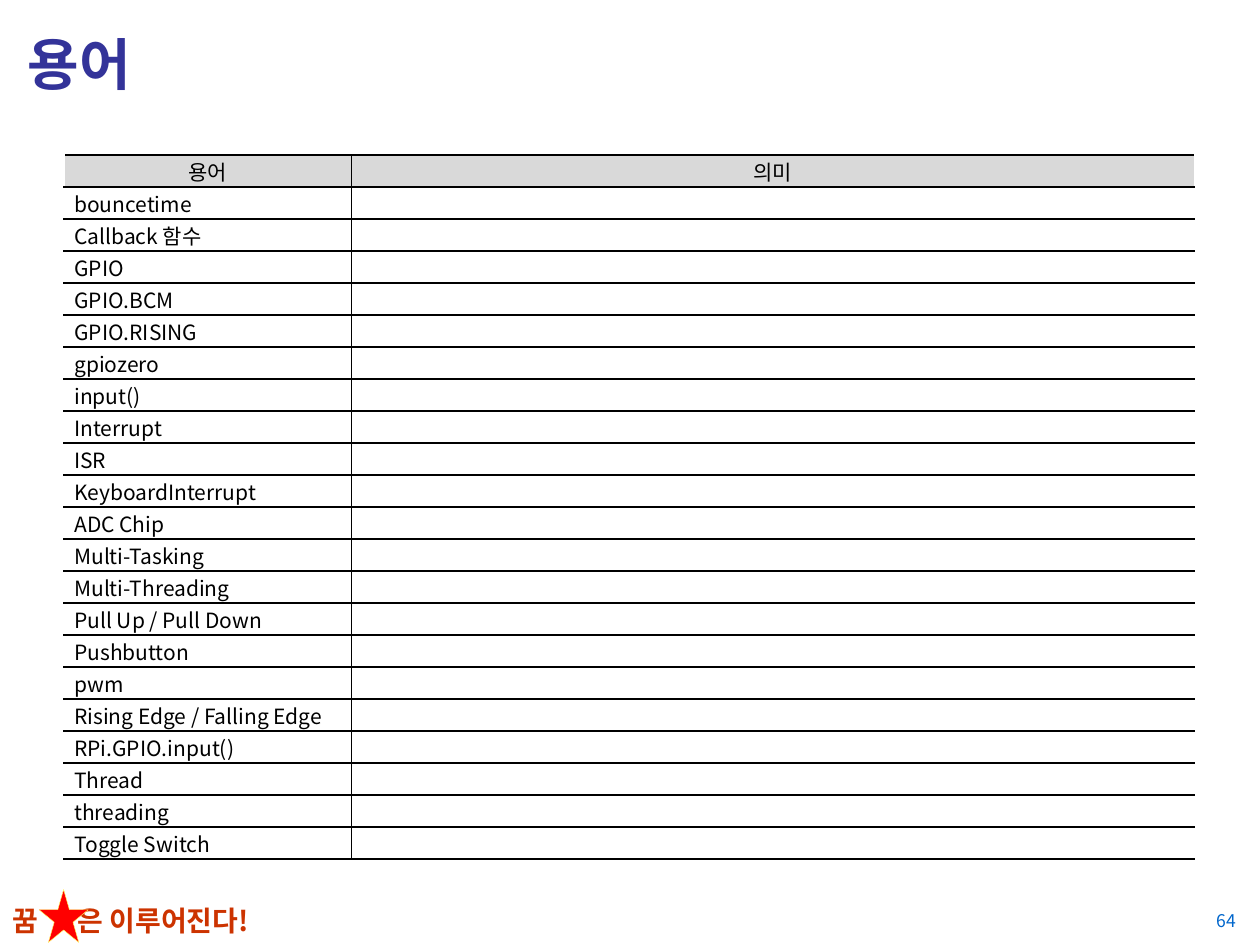
from dataclasses import dataclass

from lxml import etree
from pptx import Presentation
from pptx.dml.color import RGBColor
from pptx.enum.shapes import MSO_SHAPE
from pptx.enum.text import MSO_ANCHOR, PP_ALIGN
from pptx.oxml.ns import qn
from pptx.util import Inches, Pt

STAR = MSO_SHAPE.STAR_5_POINT
TOP, MIDDLE = MSO_ANCHOR.TOP, MSO_ANCHOR.MIDDLE
LEFT, CENTER, RIGHT = PP_ALIGN.LEFT, PP_ALIGN.CENTER, PP_ALIGN.RIGHT


@dataclass(frozen=True)
class Theme:
    font: str = "Noto Sans CJK KR"
    title: str = "333399"
    slogan: str = "CC3300"
    number: str = "0066CC"
    star: str = "FF0000"
    star_line: str = "FFFF66"
    ink: str = "000000"
    paper: str = "FFFFFF"
    header: str = "D9D9D9"
    title_size: int = 32
    slogan_size: int = 16
    table_size: int = 12
    number_size: int = 10


THEME = Theme()


@dataclass(frozen=True)
class Label:
    text: str
    box: tuple[float, float, float, float]
    size: int
    color: str
    bold: bool = False
    align: PP_ALIGN = LEFT
    anchor: MSO_ANCHOR = MIDDLE
    tab: float | None = None


LABELS = [
    # The tab leaves room for the star
    Label("꿈\t은 이루어진다!", (0, 7.12, 2.48, 0.37), THEME.slogan_size,
          THEME.slogan, bold=True, anchor=TOP, tab=0.52),
    Label("용어", (0.12, 0.06, 9.76, 0.88), THEME.title_size, THEME.title, bold=True),
    Label("64", (9.33, 7.15, 0.58, 0.31), THEME.number_size, THEME.number, align=RIGHT),
]
STAR_BOX = (0.31, 7.06, 0.39, 0.42)

HEADINGS = ("용어", "의미")
TERMS = [
    "bouncetime", "Callback 함수", "GPIO", "GPIO.BCM", "GPIO.RISING", "gpiozero",
    "input()", "Interrupt", "ISR", "KeyboardInterrupt", "ADC Chip", "Multi-Tasking",
    "Multi-Threading", "Pull Up / Pull Down", "Pushbutton", "pwm",
    "Rising Edge / Falling Edge", "RPi.GPIO.input()", "Thread", "threading",
    "Toggle Switch",
]
TABLE_LEFT, TABLE_TOP, TABLE_HEIGHT = 0.51, 1.23, 5.59
COLUMN_WIDTHS = (2.28, 6.69)


def set_format(target, values: dict) -> None:
    for name, value in values.items():
        setattr(target, name, value)


def write(paragraph, text: str, size: int, color: str, bold: bool, align: PP_ALIGN) -> None:
    paragraph.alignment = align
    if not text:
        etree.SubElement(paragraph._p, qn("a:endParaRPr"), sz=str(size * 100))
        return
    run = paragraph.add_run()
    run.text = text
    set_format(run.font, {"name": THEME.font, "size": Pt(size), "bold": bold})
    run.font.color.rgb = RGBColor.from_string(color)
    etree.SubElement(run.font._element, qn("a:ea"), typeface=THEME.font)


def add_label(slide, label: Label) -> None:
    frame = slide.shapes.add_textbox(*map(Inches, label.box)).text_frame
    set_format(frame, {"word_wrap": True, "vertical_anchor": label.anchor})
    paragraph = frame.paragraphs[0]
    if label.tab is not None:
        tabs = etree.SubElement(paragraph._p.get_or_add_pPr(), qn("a:tabLst"))
        etree.SubElement(tabs, qn("a:tab"), pos=str(Inches(label.tab)), algn="l")
    write(paragraph, label.text, label.size, label.color, label.bold, label.align)


def add_star(slide) -> None:
    star = slide.shapes.add_shape(STAR, *map(Inches, STAR_BOX))
    star.shadow.inherit = False
    star.fill.solid()
    star.fill.fore_color.rgb = RGBColor.from_string(THEME.star)
    star.line.color.rgb = RGBColor.from_string(THEME.star_line)
    star.line.width = Pt(0.25)


def add_borders(cell, colors: dict[str, str]) -> None:
    properties = cell._tc.get_or_add_tcPr()
    for side, color in colors.items():
        line = etree.SubElement(properties, qn(f"a:ln{side}"), w=str(Pt(1)))
        fill = etree.SubElement(line, qn("a:solidFill"))
        etree.SubElement(fill, qn("a:srgbClr"), val=color)


def add_term_table(slide) -> None:
    rows = [HEADINGS] + [(term, "") for term in TERMS]
    table = slide.shapes.add_table(
        len(rows), len(HEADINGS), Inches(TABLE_LEFT), Inches(TABLE_TOP),
        Inches(sum(COLUMN_WIDTHS)), Inches(TABLE_HEIGHT)).table
    set_format(table, {"first_row": False, "horz_banding": False})
    for column, width in zip(table.columns, COLUMN_WIDTHS):
        column.width = Inches(width)

    last = len(HEADINGS) - 1
    for row_index, texts in enumerate(rows):
        is_header = row_index == 0
        table.rows[row_index].height = Inches(TABLE_HEIGHT / len(rows))
        for column_index, text in enumerate(texts):
            cell = table.cell(row_index, column_index)
            set_format(cell, {
                "margin_left": Inches(0.08), "margin_right": Inches(0.08),
                "margin_top": 0, "margin_bottom": 0, "vertical_anchor": MIDDLE,
            })
            # The outer sides stay open
            add_borders(cell, {
                "L": THEME.paper if column_index == 0 else THEME.ink,
                "R": THEME.paper if column_index == last else THEME.ink,
                "T": THEME.ink,
                "B": THEME.ink,
            })
            cell.fill.solid()
            cell.fill.fore_color.rgb = RGBColor.from_string(
                THEME.header if is_header else THEME.paper)
            write(cell.text_frame.paragraphs[0], text, THEME.table_size, THEME.ink,
                  False, CENTER if is_header else LEFT)


def main() -> None:
    presentation = Presentation()
    set_format(presentation, {"slide_width": Inches(10), "slide_height": Inches(7.5)})
    slide = presentation.slides.add_slide(presentation.slide_layouts[6])

    # Slogan with its star, then title and page number
    slogan, *others = LABELS
    add_label(slide, slogan)
    add_star(slide)
    for label in others:
        add_label(slide, label)

    # Glossary
    add_term_table(slide)
    presentation.save("out.pptx")


if __name__ == "__main__":
    main()
